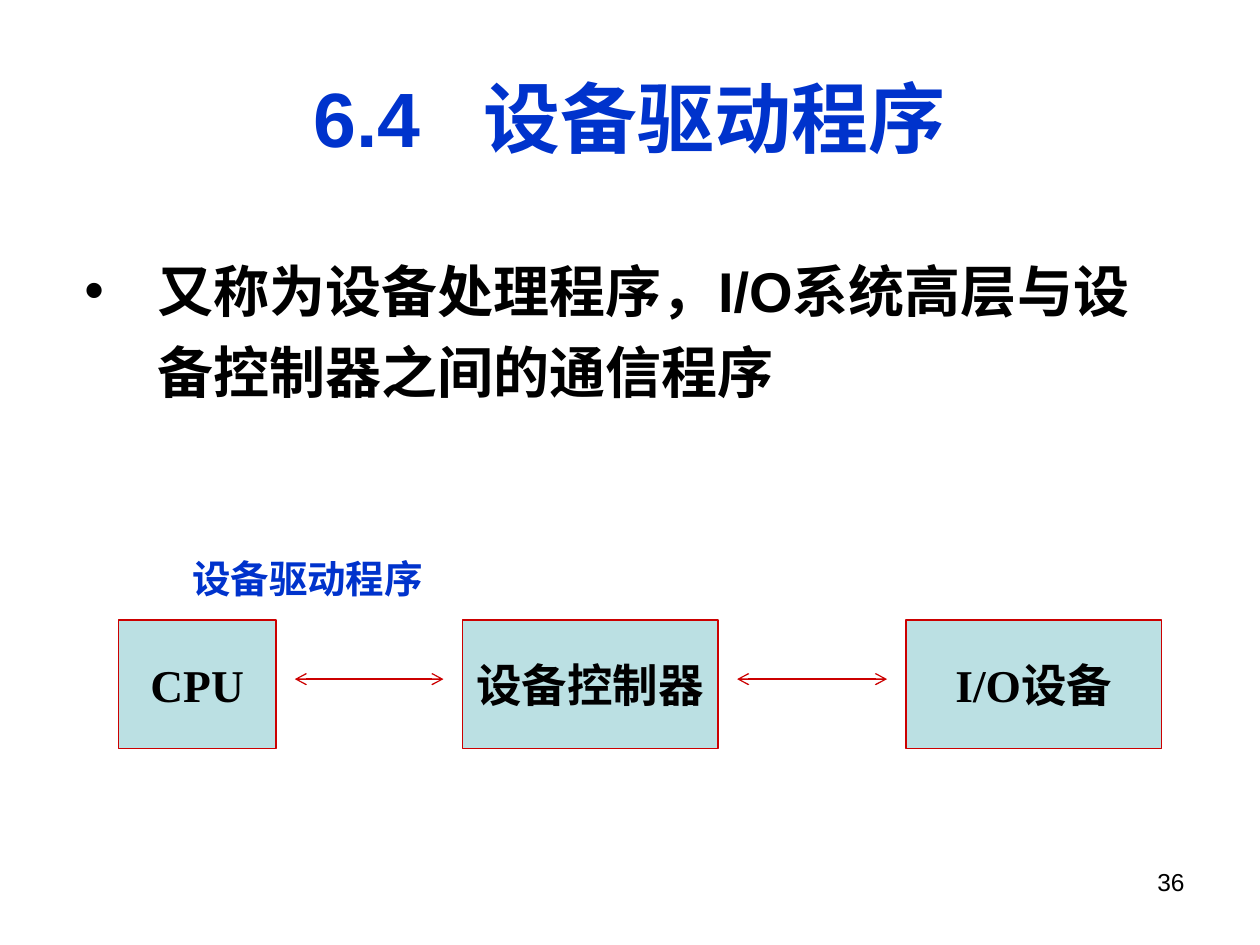
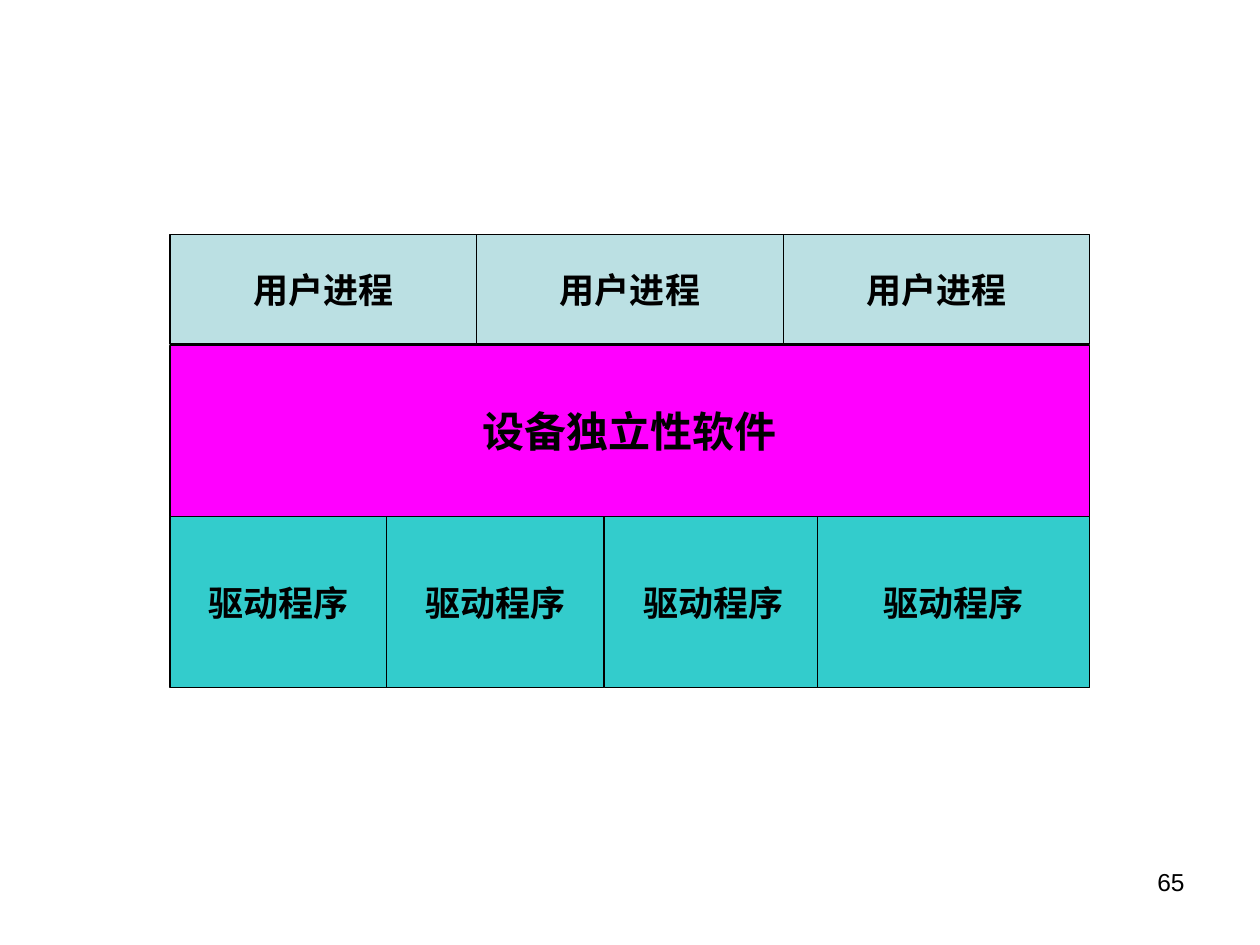
"""Build two slides on device drivers and the layers of I/O software."""
from itertools import pairwise

from lxml.etree import SubElement
from pptx import Presentation
from pptx.dml.color import RGBColor
from pptx.enum.shapes import MSO_CONNECTOR, MSO_SHAPE
from pptx.enum.text import MSO_ANCHOR, MSO_AUTO_SIZE, PP_ALIGN
from pptx.oxml.ns import qn
from pptx.util import Inches, Pt

BLACK, BLUE, RED = "000000", "0033CC", "CC0000"
PALE, MAGENTA, TEAL = "BBE0E3", "FF00FF", "33CCCC"
SANS, SERIF, DIAGRAM = "Arial", "Times New Roman", "DejaVu Sans"

SECTION, GAP, TOPIC = "6.4", "　", "设备驱动程序"
GAP_SIZE = 36
DEFINITION = "又称为设备处理程序，I/O系统高层与设备控制器之间的通信程序"
CHAIN = [("CPU", 0.94, 1.25), ("设备控制器", 3.67, 2.03), ("I/O设备", 7.19, 2.03)]
CHAIN_TOP, CHAIN_HEIGHT, ARROW_Y, ARROW_GAP = 4.92, 1.02, 5.39, 0.15

LEFT, WIDTH = 1.35, 7.3
USER_WIDTH = WIDTH / 3
USERS = [(LEFT + USER_WIDTH * column, USER_WIDTH) for column in range(3)]
DRIVERS = [(LEFT, 1.72), (3.07, 1.72), (4.8, 1.72), (6.49, 2.16)]
LAYERS = [
    ("用户进程", USERS, 1.86, 0.87, PALE, 20),
    ("设备独立性软件", [(LEFT, WIDTH)], 2.74, 1.36, MAGENTA, 24),
    ("驱动程序", DRIVERS, 4.1, 1.36, TEAL, 20),
]


def rgb(color):
    return RGBColor.from_string(color)


def write(frame, text, size, face, color=BLACK, bold=True, align=PP_ALIGN.CENTER):
    paragraph = frame.paragraphs[0]
    paragraph.text = text
    paragraph.alignment = align
    font = paragraph.font
    font.size, font.name, font.bold = Pt(size), face, bold
    font.color.rgb = rgb(color)
    return paragraph


def place(part, left, top, width, height):
    part.left, part.top = Inches(left), Inches(top)
    part.width, part.height = Inches(width), Inches(height)
    part.text_frame.auto_size = MSO_AUTO_SIZE.NONE


def add_label(slide, bounds, text, size, face, **style):
    frame = slide.shapes.add_textbox(*map(Inches, bounds)).text_frame
    frame.word_wrap = True
    write(frame, text, size, face, **style)


def add_page_number(slide, number):
    add_label(slide, (7.17, 6.83, 2.33, 0.52), str(number), 14, SANS,
              bold=False, align=PP_ALIGN.RIGHT)


def add_block(slide, bounds, text, size, face, fill, outline):
    block = slide.shapes.add_shape(MSO_SHAPE.RECTANGLE, *map(Inches, bounds))
    block.shadow.inherit = False
    block.fill.solid()
    block.fill.fore_color.rgb = rgb(fill)
    block.line.color.rgb = rgb(outline)
    block.line.width = Pt(0.75)
    block.text_frame.word_wrap = False
    block.text_frame.vertical_anchor = MSO_ANCHOR.MIDDLE
    write(block.text_frame, text, size, face)


def add_double_arrow(slide, start, end, y):
    arrow = slide.shapes.add_connector(
        MSO_CONNECTOR.STRAIGHT, Inches(start), Inches(y), Inches(end), Inches(y))
    arrow.line.color.rgb = rgb(RED)
    arrow.line.width = Pt(0.75)
    properties = arrow.element.spPr
    for tip in ("a:headEnd", "a:tailEnd"):
        SubElement(properties.find(qn("a:ln")), qn(tip), type="arrow")
    SubElement(properties, qn("a:effectLst"))


def add_bullet(paragraph):
    properties = paragraph._p.get_or_add_pPr()
    properties.set("marL", str(Inches(0.65)))
    properties.set("indent", str(Inches(-0.58)))
    bullet_color = SubElement(properties, qn("a:buClr"))
    SubElement(bullet_color, qn("a:srgbClr"), val=BLACK)
    SubElement(properties, qn("a:buFont"), typeface=SANS)
    SubElement(properties, qn("a:buChar"), char="•")


def build_driver_slide(deck):
    slide = deck.slides.add_slide(deck.slide_layouts[1])
    add_page_number(slide, 36)

    heading, definition = slide.placeholders
    place(heading, 0.5, 0.3, 9, 1.25)
    heading.text_frame.vertical_anchor = MSO_ANCHOR.MIDDLE
    title = write(heading.text_frame, SECTION, 44, SANS, BLUE)
    gap = title.add_run()
    gap.text, gap.font.size = GAP, Pt(GAP_SIZE)
    title.add_run().text = TOPIC

    place(definition, 0.5, 1.88, 9, 4.82)
    sentence = definition.text_frame.paragraphs[0]
    sentence.line_spacing = 1.2
    sentence.space_before = Pt(0)
    add_bullet(sentence)
    write(definition.text_frame, DEFINITION, 32, SANS, align=PP_ALIGN.LEFT)

    for name, left, width in CHAIN:
        add_block(slide, (left, CHAIN_TOP, width, CHAIN_HEIGHT),
                  name, 26, SERIF, PALE, RED)
    for (_, left, width), (_, next_left, _) in pairwise(CHAIN):
        add_double_arrow(slide, left + width + ARROW_GAP,
                         next_left - ARROW_GAP, ARROW_Y)
    add_label(slide, (1.35, 4.36, 2.18, 0.47), TOPIC, 22, SERIF, color=BLUE)


def build_layers_slide(deck):
    slide = deck.slides.add_slide(deck.slide_layouts[6])
    add_page_number(slide, 65)
    for name, columns, top, height, fill, size in LAYERS:
        for left, width in columns:
            add_block(slide, (left, top, width, height),
                      name, size, DIAGRAM, fill, BLACK)


def main():
    deck = Presentation()
    deck.slide_width, deck.slide_height = Inches(10), Inches(7.5)
    build_driver_slide(deck)
    build_layers_slide(deck)
    deck.save("out.pptx")


if __name__ == "__main__":
    main()
